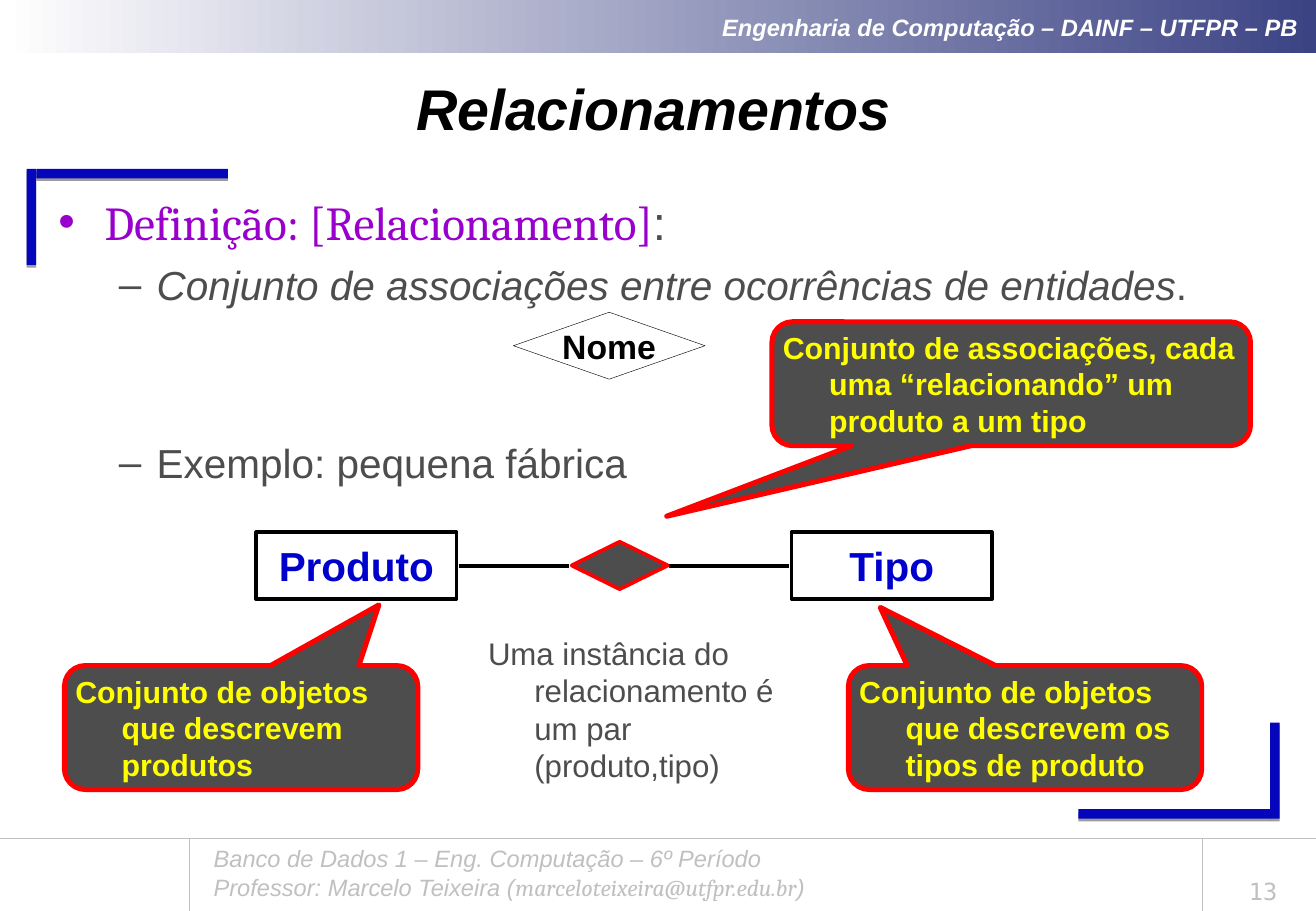
import pptx
import pptx.dml.color
import pptx.enum.shapes
import pptx.enum.text
import pptx.oxml
import pptx.oxml.ns
import pptx.util
from pptx.util import Cm

SHAPES = pptx.enum.shapes.MSO_SHAPE
ALIGN = pptx.enum.text.PP_ALIGN
ANCHOR = pptx.enum.text.MSO_ANCHOR

WIDTH, HEIGHT = 27.53, 19.05
FOOTER_TOP = 17.53
HANGING = 0.97
BLACK, WHITE, RED, YELLOW = "000000", "FFFFFF", "FF0000", "FFFF00"
GREY, LIGHT_GREY, PURPLE = "4D4D4D", "C0C0C0", "9900CC"
BAR_BLUE, ENTITY_BLUE, HEADER_NAVY = "0505BB", "0000CC", "3C4384"


def color(value):
    return pptx.dml.color.RGBColor.from_string(value)


def append_xml(parent, xml):
    """Append a drawing element written without its namespace declaration."""
    tag, rest = xml[1:].split(" ", 1)
    namespace = pptx.oxml.ns.nsdecls("a")
    parent.append(pptx.oxml.parse_xml(f"<{tag} {namespace} {rest}"))


def format_run(run, size, value, font="Arial", bold=False, italic=False):
    run.font.name = font
    run.font.size = pptx.util.Pt(size)
    run.font.bold = bold
    run.font.italic = italic
    run.font.color.rgb = color(value)


def add_runs(paragraph, pieces):
    """Add (text, format) pieces to one paragraph."""
    for text, style in pieces:
        run = paragraph.add_run()
        run.text = text
        format_run(run, **style)


def set_indent(paragraph, left, first):
    properties = paragraph._p.get_or_add_pPr()
    properties.set("marL", str(Cm(left)))
    properties.set("indent", str(Cm(first)))


def set_bullet(paragraph, character, value):
    properties = paragraph._p.get_or_add_pPr()
    append_xml(properties, f'<a:buClr ><a:srgbClr val="{value}"/></a:buClr>')
    append_xml(properties, '<a:buFont typeface="Arial"/>')
    append_xml(properties, f'<a:buChar char="{character}"/>')


def prepare_frame(shape, anchor, inset=None, wrap=True):
    frame = shape.text_frame
    frame.word_wrap = wrap
    frame.vertical_anchor = anchor
    if inset is not None:
        frame.margin_left = frame.margin_right = Cm(inset)
        frame.margin_top = frame.margin_bottom = Cm(inset)
    return frame


def write(frame, text, align=ALIGN.LEFT, hanging=False, **style):
    frame.text = text
    paragraph = frame.paragraphs[0]
    paragraph.alignment = align
    if hanging:
        set_indent(paragraph, HANGING, -HANGING)
    for run in paragraph.runs:
        format_run(run, **style)


def add_text_frame(slide, left, top, width, height, anchor=ANCHOR.TOP):
    box = slide.shapes.add_textbox(Cm(left), Cm(top), Cm(width), Cm(height))
    return prepare_frame(box, anchor)


def add_shape(slide, kind, left, top, width, height, fill, line=None, line_width=1):
    shape = slide.shapes.add_shape(kind, Cm(left), Cm(top), Cm(width), Cm(height))
    shape.shadow.inherit = False
    shape.fill.solid()
    shape.fill.fore_color.rgb = color(fill)
    if line:
        shape.line.color.rgb = color(line)
        shape.line.width = pptx.util.Pt(line_width)
    else:
        shape.line.fill.background()
    return shape


def add_line(slide, start, end, value, width):
    line = slide.shapes.add_connector(
        pptx.enum.shapes.MSO_CONNECTOR.STRAIGHT, *map(Cm, start + end))
    line.line.color.rgb = color(value)
    line.line.width = pptx.util.Pt(width)
    append_xml(line._element.spPr, "<a:effectLst />")


def add_corner_bar(slide, left, top, width, height):
    bar = add_shape(slide, SHAPES.RECTANGLE, left, top, width, height, BAR_BLUE)
    effects = bar._element.spPr.find(pptx.oxml.ns.qn("a:effectLst"))
    append_xml(effects, '<a:outerShdw blurRad="0" dist="20320" dir="5400000">'
               '<a:srgbClr val="000000"><a:alpha val="38000"/></a:srgbClr>'
               '</a:outerShdw>')


def add_label_shape(slide, kind, box, text, size, value, line_width):
    shape = add_shape(slide, kind, *box, WHITE, BLACK, line_width)
    frame = prepare_frame(shape, ANCHOR.MIDDLE, 0.1, wrap=False)
    write(frame, text, ALIGN.CENTER, size=size, value=value, bold=True)


def add_callout(slide, left, top, width, tip, text):
    """tip is the pointer's offset from the centre, in shares of the size."""
    shape = add_shape(slide, SHAPES.ROUNDED_RECTANGULAR_CALLOUT,
                      left, top, width, 2.59, GREY, RED, 3)
    shape.adjustments[0], shape.adjustments[1] = tip
    frame = prepare_frame(shape, ANCHOR.MIDDLE, 0.1)
    write(frame, text, hanging=True, size=18, value=YELLOW, bold=True)


def add_header(slide):
    band = add_shape(slide, SHAPES.RECTANGLE, 0.05, 0, 27.5, 1.12, HEADER_NAVY)
    band.fill.gradient()
    band.fill.gradient_angle = 0
    for stop, value in zip(band.fill.gradient_stops, (WHITE, HEADER_NAVY)):
        stop.color.rgb = color(value)
    write(prepare_frame(band, ANCHOR.MIDDLE),
          "Engenharia de Computação – DAINF – UTFPR – PB ", ALIGN.RIGHT,
          size=14, value=WHITE, bold=True, italic=True)


def add_corners(slide):
    for bar in ((22.56, 16.92, 4.01, 0.2), (26.57, 15.11, 0.2, 2.01),
                (0.76, 3.53, 4.01, 0.2), (0.56, 3.53, 0.2, 2.01)):
        add_corner_bar(slide, *bar)


def add_footer(slide):
    for x in (3.96, 25.15):
        add_line(slide, (x, FOOTER_TOP), (x, HEIGHT), LIGHT_GREY, 0.75)
    add_line(slide, (0, FOOTER_TOP), (WIDTH, FOOTER_TOP), LIGHT_GREY, 0.25)
    style = dict(size=14, value=LIGHT_GREY, italic=True)
    frame = add_text_frame(slide, 4.22, FOOTER_TOP, 19.15, 1.45)
    write(frame, "Banco de Dados 1 – Eng. Computação – 6º Período", **style)
    add_runs(frame.add_paragraph(), [
        ("Professor: Marcelo Teixeira (", style),
        ("marceloteixeira@utfpr.edu.br", dict(style, font="Cambria")),
        (")", style)])
    number = add_text_frame(slide, 25.32, 18.06, 2.21, 0.99, ANCHOR.BOTTOM)
    write(number, "13", ALIGN.CENTER, size=14, value=LIGHT_GREY,
          font="DejaVu Sans Mono")


def add_definition(slide):
    frame = add_text_frame(slide, 0.97, 3.91, 25.4, 12.8)
    plain = dict(size=24, value=GREY)
    heading = frame.paragraphs[0]
    set_indent(heading, HANGING, -HANGING)
    set_bullet(heading, "•", PURPLE)
    add_runs(heading, [
        ("Definição: [Relacionamento]", dict(size=28, value=PURPLE, font="Cambria")),
        (":", dict(size=28, value=GREY))])
    items = (
        (6, [("Conjunto de associações entre ocorrências de entidades",
              dict(plain, italic=True)), (".", plain)]),
        (77, [("Exemplo: pequena fábrica", plain)]))
    for space, pieces in items:
        paragraph = frame.add_paragraph()
        paragraph.level = 1
        paragraph.space_before = pptx.util.Pt(space)
        set_indent(paragraph, 2.06, -0.79)
        set_bullet(paragraph, "–", GREY)
        add_runs(paragraph, pieces)


def add_diagram(slide):
    add_label_shape(slide, SHAPES.DIAMOND, (10.74, 6.53, 4.01, 1.4),
                    "Nome", 20, BLACK, 0.25)
    add_shape(slide, SHAPES.DIAMOND, 11.96, 11.33, 2.01, 0.99, GREY, RED, 2.25)
    for start, end in ((9.6, 11.91), (14, 16.51)):
        add_line(slide, (start, 11.83), (end, 11.83), BLACK, 2.25)
    for left, name in ((5.36, "Produto"), (16.56, "Tipo")):
        add_label_shape(slide, SHAPES.RECTANGLE, (left, 11.13, 4.19, 1.4),
                        name, 24, ENTITY_BLUE, 2.25)
    add_callout(slide, 1.35, 13.92, 7.39, (0.39, -0.99),
                "Conjunto de objetos que descrevem produtos")
    add_callout(slide, 17.75, 13.92, 7.39, (-0.41, -0.97),
                "Conjunto de objetos que descrevem os tipos de produto")
    add_callout(slide, 16.15, 6.73, 10.01, (-0.72, 1.07),
                "Conjunto de associações, cada uma “relacionando” um produto a um tipo")
    write(add_text_frame(slide, 9.96, 13.13, 7.01, 3.61),
          "Uma instância do relacionamento é um par (produto,tipo)",
          hanging=True, size=18.5, value=GREY)


def main():
    presentation = pptx.Presentation()
    presentation.slide_width, presentation.slide_height = Cm(WIDTH), Cm(HEIGHT)
    slide = presentation.slides.add_slide(presentation.slide_layouts[6])
    add_header(slide)
    add_corners(slide)
    add_footer(slide)
    write(add_text_frame(slide, 0.56, 1.37, 26.21, 1.75, ANCHOR.MIDDLE),
          "Relacionamentos", ALIGN.CENTER, size=34, value=BLACK,
          bold=True, italic=True)
    add_definition(slide)
    add_diagram(slide)
    presentation.save("out.pptx")


if __name__ == "__main__":
    main()
